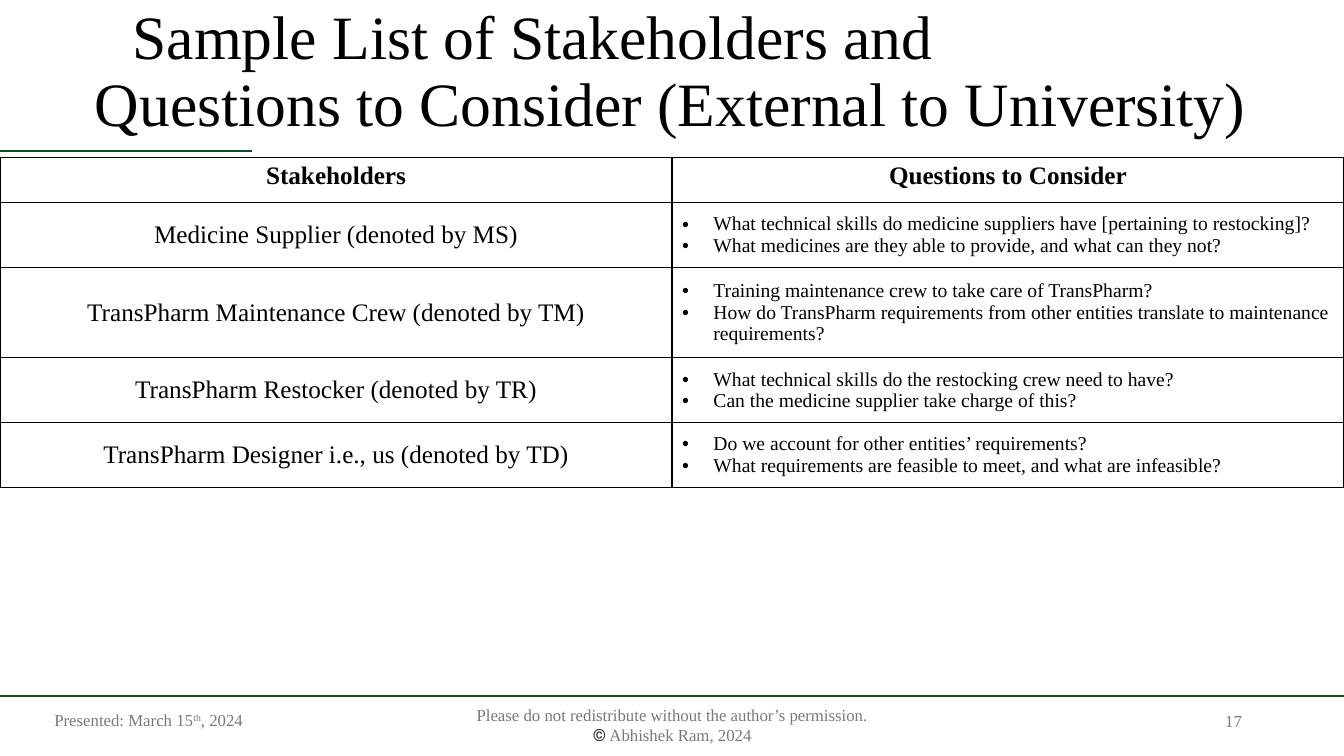
from dataclasses import dataclass

from lxml.etree import SubElement
from pptx import Presentation
from pptx.dml.color import RGBColor
from pptx.enum.shapes import MSO_CONNECTOR
from pptx.enum.text import MSO_ANCHOR, PP_ALIGN
from pptx.oxml.ns import qn
from pptx.util import Cm, Pt


@dataclass(frozen=True)
class Theme:
    font: str = "Times New Roman"
    symbol_font: str = "Roboto"
    ink: RGBColor = RGBColor(0x00, 0x00, 0x00)
    muted: RGBColor = RGBColor(0x79, 0x79, 0x79)
    symbol: RGBColor = RGBColor(0x1F, 0x1E, 0x33)
    accent: RGBColor = RGBColor(0x13, 0x50, 0x1B)
    title_size: Pt = Pt(44)
    name_size: Pt = Pt(18)
    question_size: Pt = Pt(14)
    footer_size: Pt = Pt(12)
    rule_width: Pt = Pt(1.5)
    border_width: Pt = Pt(1)


@dataclass(frozen=True)
class Box:
    left: float
    top: float
    width: float
    height: float

    def lengths(self):
        return Cm(self.left), Cm(self.top), Cm(self.width), Cm(self.height)


THEME = Theme()
SLIDE = Box(0, 0, 33.87, 19.05)
TITLE = "Sample List of Stakeholders and\vQuestions to Consider (External to University)"
HEADERS = ("Stakeholders", "Questions to Consider")
STAKEHOLDERS = (
    ("Medicine Supplier (denoted by MS)", 1.63, (
        "What technical skills do medicine suppliers have [pertaining to restocking]?",
        "What medicines are they able to provide, and what can they not?")),
    ("TransPharm Maintenance Crew (denoted by TM)", 2.28, (
        "Training maintenance crew to take care of TransPharm?",
        "How do TransPharm requirements from other entities translate to maintenance requirements?")),
    ("TransPharm Restocker (denoted by TR)", 1.63, (
        "What technical skills do the restocking crew need to have?",
        "Can the medicine supplier take charge of this?")),
    ("TransPharm Designer i.e., us (denoted by TD)", 1.63, (
        "Do we account for other entities’ requirements?",
        "What requirements are feasible to meet, and what are infeasible?")),
)
HEADER_HEIGHT = 1.15


def set_font(paragraph, size, color, bold=False):
    font = paragraph.font
    font.name = THEME.font
    font.size = size
    font.bold = bold
    font.color.rgb = color


def set_indent(paragraph, margin, first_line):
    properties = paragraph._p.get_or_add_pPr()
    properties.set("marL", str(Cm(margin)))
    properties.set("indent", str(Cm(first_line)))
    return properties


def add_text_frame(slide, box):
    frame = slide.shapes.add_textbox(*box.lengths()).text_frame
    frame.word_wrap = True
    frame.vertical_anchor = MSO_ANCHOR.MIDDLE
    return frame


def add_rule(slide, left, top, width):
    rule = slide.shapes.add_connector(
        MSO_CONNECTOR.STRAIGHT, Cm(left), Cm(top), Cm(left + width), Cm(top))
    rule.line.color.rgb = THEME.accent
    rule.line.width = THEME.rule_width
    SubElement(rule._element.spPr, qn("a:effectLst"))


def add_title(slide, box):
    paragraph = add_text_frame(slide, box).paragraphs[0]
    paragraph.text = TITLE
    paragraph.alignment = PP_ALIGN.LEFT
    paragraph.line_spacing = 0.9
    set_indent(paragraph, 2.14, 0.95)
    set_font(paragraph, THEME.title_size, THEME.ink)
    add_rule(slide, box.left, box.top + box.height + 0.13, 6.35)


def format_cell(cell):
    properties = cell._tc.get_or_add_tcPr()
    for side in ("a:lnL", "a:lnR", "a:lnT", "a:lnB"):
        border = SubElement(properties, qn(side), w=str(THEME.border_width))
        fill = SubElement(border, qn("a:solidFill"))
        SubElement(fill, qn("a:srgbClr"), val=str(THEME.ink))
    cell.fill.background()


def fill_centered(cell, text, anchor, bold=False):
    format_cell(cell)
    cell.vertical_anchor = anchor
    paragraph = cell.text_frame.paragraphs[0]
    paragraph.text = text
    paragraph.alignment = PP_ALIGN.CENTER
    set_font(paragraph, THEME.name_size, THEME.ink, bold)


def fill_questions(cell, questions):
    format_cell(cell)
    cell.vertical_anchor = MSO_ANCHOR.MIDDLE
    cell.text_frame.text = "\n".join(questions)
    for paragraph in cell.text_frame.paragraphs:
        properties = set_indent(paragraph, 0.79, -0.79)
        SubElement(properties, qn("a:buFont"), typeface="Arial")
        SubElement(properties, qn("a:buChar"), char="•")
        set_font(paragraph, THEME.question_size, THEME.ink)


def add_stakeholder_table(slide, box):
    table = slide.shapes.add_table(
        len(STAKEHOLDERS) + 1, len(HEADERS), *box.lengths()).table
    table.first_row = False
    table.horz_banding = False
    for column in table.columns:
        column.width = Cm(box.width / len(HEADERS))
    table.rows[0].height = Cm(HEADER_HEIGHT)
    for index, header in enumerate(HEADERS):
        fill_centered(table.cell(0, index), header, MSO_ANCHOR.TOP, bold=True)
    for index, (name, height, questions) in enumerate(STAKEHOLDERS, start=1):
        table.rows[index].height = Cm(height)
        fill_centered(table.cell(index, 0), name, MSO_ANCHOR.MIDDLE)
        fill_questions(table.cell(index, 1), questions)


def add_footer(slide, box):
    add_rule(slide, box.left, box.top, box.width)
    text_top = box.top + 0.12

    date = add_text_frame(slide, Box(box.left + 1.12, text_top, 5.36, 1.02)).paragraphs[0]
    date.line_spacing = 0.9
    for text, baseline in (("Presented: March 15", 0), ("th", 30000), (", 2024", 0)):
        run = date.add_run()
        run.text = text
        run._r.get_or_add_rPr().set("baseline", str(baseline))
    set_font(date, THEME.footer_size, THEME.muted)

    notice = add_text_frame(slide, Box(box.left + 11.23, text_top + 0.1, 11.43, 1.02))
    notice.text = "Please do not redistribute without the author’s permission."
    copyright_line = notice.add_paragraph()
    symbol = copyright_line.add_run()
    symbol.text = "©"
    symbol.font.name = THEME.symbol_font
    symbol.font.color.rgb = THEME.symbol
    copyright_line.add_run().text = " Abhishek Ram, 2024"
    for paragraph in notice.paragraphs:
        paragraph.alignment = PP_ALIGN.CENTER
        set_font(paragraph, THEME.footer_size, THEME.muted)

    number = add_text_frame(slide, Box(box.left + 23.93, text_top, 7.62, 1.02)).paragraphs[0]
    number.text = "17"
    number.alignment = PP_ALIGN.RIGHT
    set_font(number, THEME.footer_size, THEME.muted)


def main():
    presentation = Presentation()
    presentation.slide_width = Cm(SLIDE.width)
    presentation.slide_height = Cm(SLIDE.height)
    slide = presentation.slides.add_slide(presentation.slide_layouts[6])
    table_height = HEADER_HEIGHT + sum(height for _, height, _ in STAKEHOLDERS)
    add_title(slide, Box(0, 0, SLIDE.width, 3.68))
    add_stakeholder_table(slide, Box(0, 3.96, SLIDE.width, table_height))
    add_footer(slide, Box(0, 17.53, SLIDE.width, 1.52))
    presentation.save("out.pptx")


if __name__ == "__main__":
    main()
